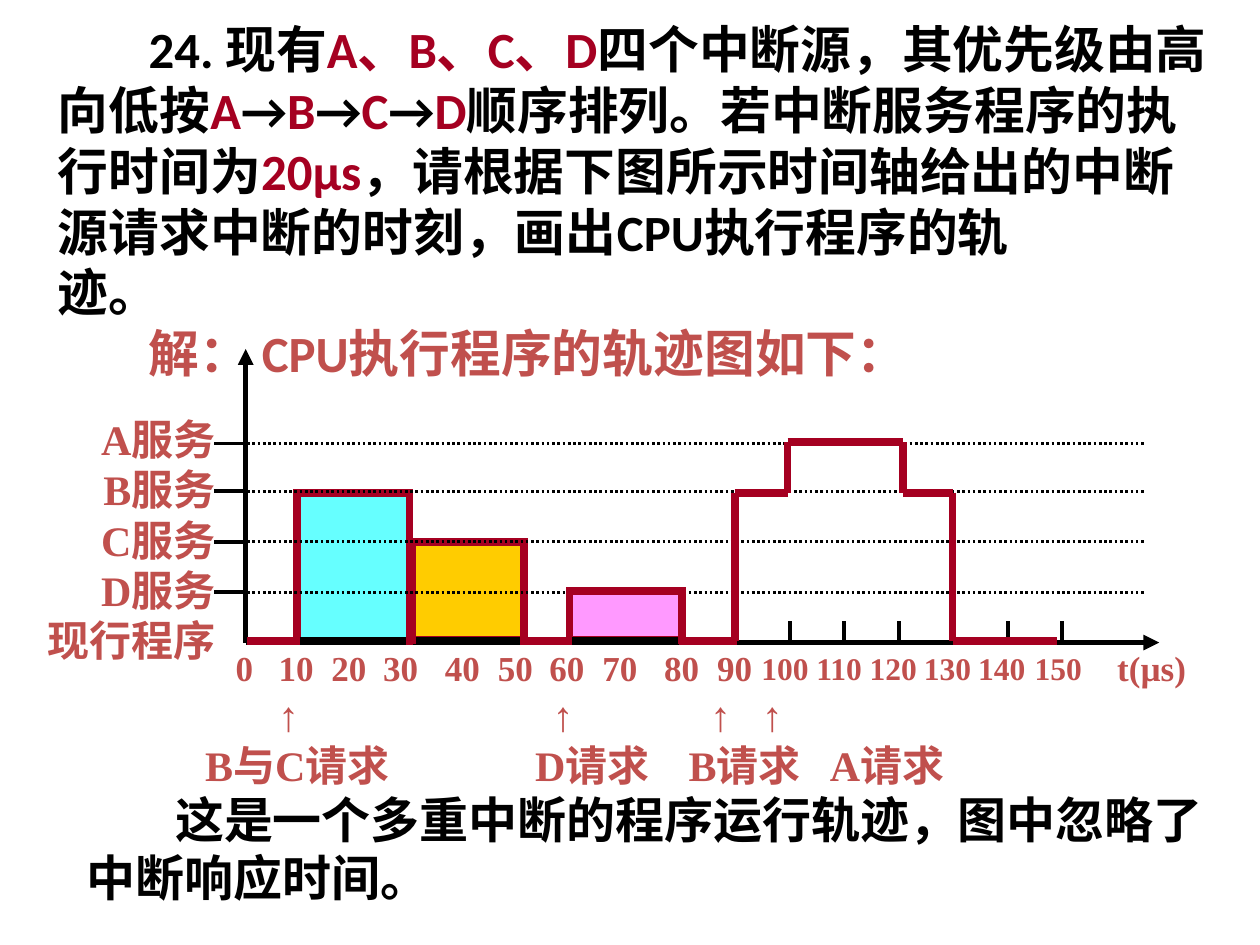
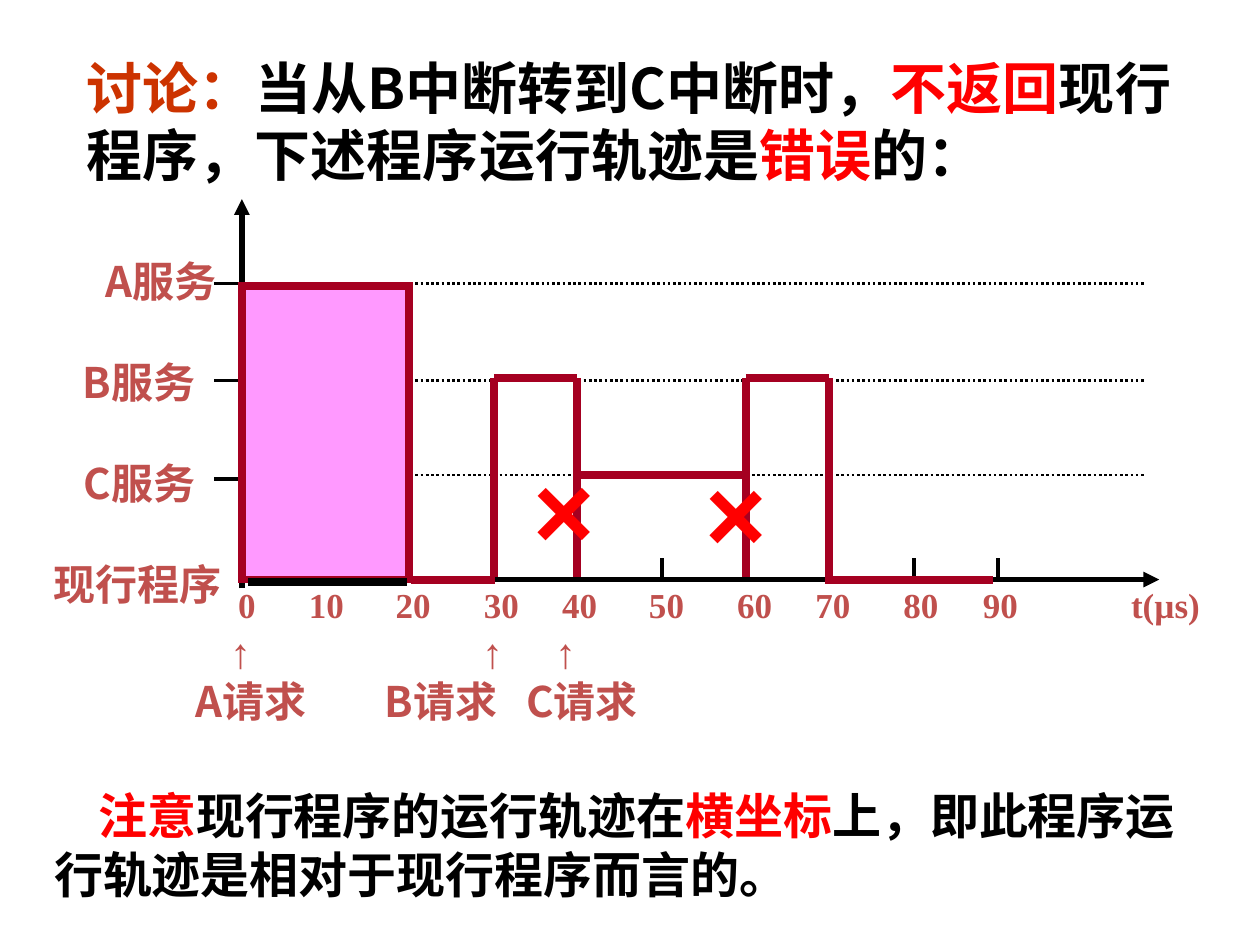
from itertools import pairwise

from lxml.etree import SubElement
from pptx import Presentation
from pptx.dml.color import RGBColor
from pptx.enum.dml import MSO_LINE_DASH_STYLE as Dash
from pptx.enum.shapes import MSO_CONNECTOR as Connector, MSO_SHAPE as Shape
from pptx.enum.text import MSO_ANCHOR as Anchor, PP_ALIGN as Align
from pptx.oxml.ns import qn
from pptx.util import Inches, Pt

COLORS = {
    "ink": "000000", "trace": "A50021", "label": "C0504D", "alert": "FF0000",
    "lead": "CC3300", "cyan": "66FFFF", "amber": "FFCC00", "pink": "FF99FF",
}
SANS, SERIF, BODY = "Noto Sans CJK SC", "Times New Roman", "Calibri"
AXIS_X, AXIS_END, GRID_END = 1.95, 9.2, 9.08
TICK_LEFT, TICK_HEIGHT = 1.7, 0.17
ALIGNS = {"l": Align.LEFT, "c": Align.CENTER, "r": Align.RIGHT}
BREAK = ("\n", "ink")

# A text is a list of paragraphs; a paragraph is a list of (words, colour).
QUESTION = [
    [("24. 现有", "ink"), ("A、B、C、D", "trace"),
     ("四个中断源，其优先级由高向低按", "ink"), ("A", "trace"), ("→", "ink"),
     ("B", "trace"), ("→", "ink"), ("C", "trace"), ("→", "ink"), ("D", "trace"),
     ("顺序排列。若中断服务程序的执行时间为", "ink"), ("20µs", "trace"),
     ("，请根据下图所示时间轴给出的中断源请求中断的时刻，"
      "画出CPU执行程序的轨", "ink"), BREAK, ("迹。", "ink")],
    [("解： CPU执行程序的轨迹图如下：", "label")],
]
REMARK = [[("这是一个多重中断的程序运行轨迹，图中忽略了中断响应时间。", "ink")]]
DISCUSSION = [[
    ("讨论：", "lead"), ("当从B中断转到C中断时，", "ink"), ("不返回", "alert"),
    ("现行程序，下述程序运行轨迹是", "ink"), ("错误", "alert"), ("的：", "ink")]]
NOTICE = [[
    ("注意", "alert"), ("现行程序的运行轨迹在", "ink"), ("横坐标", "alert"),
    ("上，即此程序运行轨迹是相对于现行程序而言的。", "ink")]]

# text, (left, top, width, height), format
SLIDES = [
    {
        "texts": [
            (QUESTION, (0.46, 0.13, 9.22, 2.92), dict(size=29, font=BODY, indent=0.72)),
            (REMARK, (0.69, 6.23, 8.97, 1), dict(size=28, font=SERIF, indent=0.7)),
        ],
        "chart": {
            "font": SERIF, "base": 5.1, "axis": (1.95, 5.1, 2.77),
            "origin": 1.95, "step": 0.432, "small_from": 100,
            "time_labels": [1.94, 2.35, 2.77, 3.18, 3.67, 4.09, 4.5, 4.92, 5.41,
                            5.83, 6.23, 6.66, 7.09, 7.52, 7.95, 8.4],
            "time_y": 5.3, "unit_x": 9.14,
            "levels": [3.52, 3.9, 4.3, 4.7], "grid": [3.52, 3.9, 4.3, 4.7],
            # name, right edge, middle
            "names": [(name, 1.71, 3.48 + 0.4 * i) for i, name in enumerate(
                ["A服务", "B服务", "C服务", "D服务", "现行程序"])],
            "arrows": [2.29, 4.47, 5.72, 6.13], "arrow_y": 5.67,
            "requests": [("B与C请求", 2.36), ("D请求", 4.7),
                         ("B请求", 5.91), ("A请求", 7.04)],
            "request_y": 6.07,
            "bars_under_grid": [("cyan", (2.36, 3.91, 0.89, 1.18)),
                                ("amber", (3.27, 4.3, 0.89, 0.78))],
            "bars": [("pink", (4.52, 4.69, 0.89, 0.39))],
            "traces": [
                [(1.96, 5.09), (2.37, 5.09)],
                [(4.13, 5.09), (4.55, 5.09)],
                [(5.39, 5.09), (5.85, 5.09)],
                [(5.83, 5.09), (5.83, 3.91), (6.25, 3.91), (6.25, 3.51),
                 (7.17, 3.51), (7.17, 3.91), (7.56, 3.91), (7.56, 5.09),
                 (8.39, 5.09)],
            ],
            "served": [(2.38, 3.22), (3.3, 4.13), (4.54, 5.38)], "served_y": 5.09,
            "errors": [],
        },
    },
    {
        "texts": [
            (DISCUSSION, (0.69, 0.33, 8.97, 1.25), dict(size=32, font=SANS)),
            (NOTICE, (0.43, 6.2, 9.22, 1), dict(size=28, font=SANS, indent=0.35)),
        ],
        "chart": {
            "font": SANS, "base": 4.6, "axis": (1.92, 4.67, 1.58),
            "origin": 1.92, "step": 0.667, "small_from": 100,
            "time_labels": [1.96, 2.59, 3.28, 3.98, 4.6, 5.29, 5.99, 6.61, 7.31, 7.94],
            "time_y": 4.8, "unit_x": 9.25,
            "levels": [2.25, 3.02, 3.8], "grid": [2.25, 3.02, 3.77],
            "names": [("A服务", 1.72, 2.23), ("B服务", 1.55, 3.03),
                      ("C服务", 1.55, 3.83), ("现行程序", 1.76, 4.63)],
            "arrows": [1.91, 3.91, 4.49], "arrow_y": 5.17,
            "requests": [("A请求", 1.99), ("B请求", 3.5), ("C请求", 4.62)],
            "request_y": 5.56,
            "bars_under_grid": [],
            "bars": [("pink", (1.92, 2.27, 1.33, 2.33))],
            "traces": [
                [(3.26, 4.6), (3.93, 4.6)],
                [(3.92, 4.58), (3.92, 3), (4.58, 3), (4.58, 4.58)],
                [(4.58, 3.77), (5.92, 3.77)],
                [(5.92, 4.58), (5.92, 3), (6.58, 3), (6.58, 4.58)],
                [(6.55, 4.6), (7.88, 4.6)],
            ],
            "served": [(1.97, 3.23)], "served_y": 4.62,
            "errors": [(4.48, 4.03), (5.84, 4.05)],
        },
    },
]


def rgb(name):
    return RGBColor.from_string(COLORS[name])


def add_text(s, paragraphs, box, size, font, indent=0, align="l", wrap=True):
    tf = s.shapes.add_textbox(*map(Inches, box)).text_frame
    tf.word_wrap = wrap
    tf.vertical_anchor = Anchor.MIDDLE
    tf.margin_left = tf.margin_right = tf.margin_top = tf.margin_bottom = 0
    for i, runs in enumerate(paragraphs):
        p = tf.paragraphs[0] if i == 0 else tf.add_paragraph()
        p.alignment = ALIGNS[align]
        p.line_spacing = Pt(size * 1.2)
        if indent:
            p._p.get_or_add_pPr().set("indent", str(Inches(indent)))
        for words, color in runs:
            if words == "\n":
                p.add_line_break()
                continue
            r = p.add_run()
            r.text = words
            r.font.size, r.font.name, r.font.bold = Pt(size), font, True
            r.font.color.rgb = rgb(color)
            SubElement(r._r.get_or_add_rPr(), qn("a:ea"), typeface=SANS)


def add_label(s, words, x, y, size=24, font=SERIF, color="label", align="c"):
    """One line centred on x, or ending at x when aligned right."""
    width = 1.6 if align == "r" else 2
    left = x - width if align == "r" else x - width / 2
    add_text(s, [[(words, color)]], (left, y - 0.25, width, 0.5),
             size=size, font=font, align=align)


def add_line(s, start, end, color="ink", weight=2.25, dash=None, arrow=False):
    c = s.shapes.add_connector(Connector.STRAIGHT, *map(Inches, (*start, *end)))
    c.line.color.rgb = rgb(color)
    c.line.width = Pt(weight)
    if dash:
        c.line.dash_style = dash
    if arrow:
        SubElement(c.line._get_or_add_ln(), qn("a:tailEnd"), type="triangle")
    SubElement(c._element.spPr, qn("a:effectLst"))


def add_bar(s, color, box):
    sp = s.shapes.add_shape(Shape.RECTANGLE, *map(Inches, box))
    sp.shadow.inherit = False
    sp.fill.solid()
    sp.fill.fore_color.rgb = rgb(color)
    sp.line.color.rgb = rgb("trace")
    sp.line.width = Pt(4.5)
    SubElement(sp.line._get_or_add_ln(), qn("a:miter"), lim="800000")


def add_axes(s, chart):
    base = chart["base"]
    x, bottom, top = chart["axis"]
    add_line(s, (x, bottom), (x, top), weight=3, arrow=True)
    add_line(s, (AXIS_X, base), (AXIS_END, base), weight=3, arrow=True)
    for y in chart["levels"]:
        add_line(s, (TICK_LEFT, y), (AXIS_X, y))
    for i, label_x in enumerate(chart["time_labels"]):
        if i:
            x = chart["origin"] + i * chart["step"]
            add_line(s, (x, base - TICK_HEIGHT), (x, base))
        add_label(s, str(i * 10), label_x, chart["time_y"],
                  size=18 if i * 10 >= chart["small_from"] else 20)
    add_label(s, "t(µs)", chart["unit_x"], chart["time_y"], size=20)


def add_timing_chart(s, chart):
    add_axes(s, chart)
    for name, right, y in chart["names"]:
        add_label(s, name, right, y, font=chart["font"], align="r")
    for x in chart["arrows"]:
        add_label(s, "↑", x, chart["arrow_y"], font="Arial")
    for words, x in chart["requests"]:
        add_label(s, words, x, chart["request_y"], font=chart["font"])
    for color, box in chart["bars_under_grid"]:
        add_bar(s, color, box)
    for y in chart["grid"]:
        add_line(s, (1.92, y), (GRID_END, y), weight=1.5, dash=Dash.ROUND_DOT)
    for color, box in chart["bars"]:
        add_bar(s, color, box)
    for points in chart["traces"]:
        for start, end in pairwise(points):
            add_line(s, start, end, "trace", 4.5)
    for x, y in chart["errors"]:
        add_label(s, "×", x, y, size=60, font="Arial", color="alert")
    for left, right in chart["served"]:
        add_line(s, (left, chart["served_y"]), (right, chart["served_y"]), weight=4.5)


def main():
    prs = Presentation()
    prs.slide_width, prs.slide_height = Inches(10), Inches(7.5)
    for content in SLIDES:
        s = prs.slides.add_slide(prs.slide_layouts[6])
        for paragraphs, box, style in content["texts"]:
            add_text(s, paragraphs, box, **style)
        add_timing_chart(s, content["chart"])
    prs.save("out.pptx")


if __name__ == "__main__":
    main()
